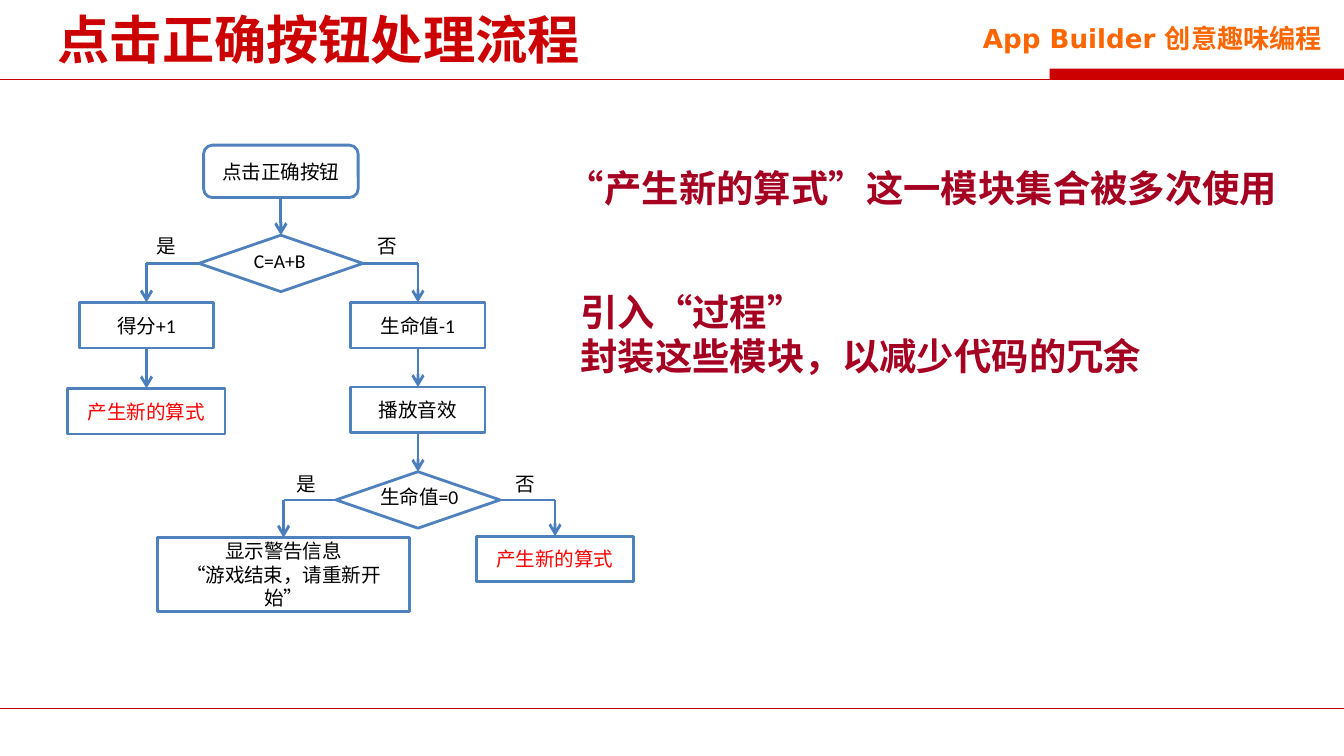
from lxml.etree import SubElement
from pptx import Presentation
from pptx.dml.color import RGBColor
from pptx.enum.shapes import MSO_CONNECTOR, MSO_SHAPE
from pptx.enum.text import MSO_ANCHOR, PP_ALIGN
from pptx.oxml.ns import qn
from pptx.util import Inches, Pt

RED = RGBColor(0xCC, 0x00, 0x00)
ORANGE = RGBColor(0xFF, 0x66, 0x00)
CRIMSON = RGBColor(0xA5, 0x00, 0x21)
BRIGHT_RED = RGBColor(0xFF, 0x00, 0x00)
OUTLINE_BLUE = RGBColor(0x4F, 0x81, 0xBD)
ARROW_BLUE = RGBColor(0x4B, 0x7E, 0xBC)
BLACK = RGBColor(0x00, 0x00, 0x00)
WHITE = RGBColor(0xFF, 0xFF, 0xFF)

CJK_FONT = "Noto Sans CJK SC"
FLOW_FONT = "Calibri"
HEADER_FONT = "DejaVu Sans"

TOP, LEFT, BOTTOM, RIGHT = range(4)
SCORE_X, CHECK_X, LIFE_X, RETRY_X = 1.09, 2.09, 3.11, 4.13
WARNING_X = 2.11
STEP_SIZE = (1, 0.34)
FORMULA_SIZE = (1.17, 0.34)
DIAMOND_SIZE = (1.22, 0.42)


def write_lines(frame, lines, size, font_name, color, bold=False, align=PP_ALIGN.LEFT):
    for index, line in enumerate(lines):
        paragraph = frame.paragraphs[0] if index == 0 else frame.add_paragraph()
        paragraph.alignment = align
        run = paragraph.add_run()
        run.text = line
        font = run.font
        font.size, font.name, font.bold = Pt(size), font_name, bold
        font.color.rgb = color
        SubElement(run._r.get_or_add_rPr(), qn("a:ea"), typeface=CJK_FONT)


def add_text(slide, box, lines, size, font_name, color, **style):
    frame = slide.shapes.add_textbox(*map(Inches, box)).text_frame
    frame.word_wrap = True
    write_lines(frame, lines, size, font_name, color, **style)
    return frame


def add_flow_label(slide, box, text):
    add_text(slide, box, [text], 10.5, FLOW_FONT, BLACK, align=PP_ALIGN.JUSTIFY)


def add_node(slide, center_x, top, size, lines=(), color=BLACK, kind=MSO_SHAPE.RECTANGLE):
    """Add an outlined flowchart node centred on a column."""
    width, height = size
    node = slide.shapes.add_shape(
        kind, Inches(center_x - width / 2), Inches(top), Inches(width), Inches(height))
    node.shadow.inherit = False
    node.fill.solid()
    node.fill.fore_color.rgb = WHITE
    node.line.color.rgb = OUTLINE_BLUE
    node.line.width = Pt(1.5)
    node.text_frame.vertical_anchor = MSO_ANCHOR.MIDDLE
    write_lines(node.text_frame, lines, 10.5, FLOW_FONT, color, align=PP_ALIGN.CENTER)
    return node


def add_line(slide, start, end, color=ARROW_BLUE, width=1.5, arrow=False):
    line = slide.shapes.add_connector(MSO_CONNECTOR.STRAIGHT, *start, *end)
    line.line.color.rgb = color
    line.line.width = Pt(width)
    if arrow:
        SubElement(line.line._get_or_add_ln(), qn("a:tailEnd"), type="arrow")
    SubElement(line._element.spPr, qn("a:effectLst"))
    return line


def top_middle(node):
    return node.left + node.width // 2, node.top


def add_down_arrow(slide, upper, lower):
    x, y = top_middle(lower)
    arrow = add_line(slide, (x, upper.top + upper.height), (x, y), arrow=True)
    arrow.begin_connect(upper, BOTTOM)
    arrow.end_connect(lower, TOP)


def add_branch(slide, decision, side, target):
    """Run sideways from a decision, then down into the target."""
    x, target_y = top_middle(target)
    corner = (x, decision.top + decision.height // 2)
    edge_x = decision.left + (decision.width if side == RIGHT else 0)
    add_line(slide, (edge_x, corner[1]), corner).begin_connect(decision, side)
    add_line(slide, corner, (x, target_y), arrow=True).end_connect(target, TOP)


def add_header_and_footer(slide):
    for y in (0.59, 5.27):
        add_line(slide, (0, Inches(y)), (Inches(10), Inches(y)), RED, 0.75)
    accent = slide.shapes.add_shape(
        MSO_SHAPE.RECTANGLE, *map(Inches, (7.81, 0.51, 2.19, 0.08)))
    accent.shadow.inherit = False
    accent.fill.solid()
    accent.fill.fore_color.rgb = RED
    accent.line.fill.background()
    course = add_text(slide, (7.12, 0.07, 2.91, 0.38), ["App Builder 创意趣味编程"], 14,
                      HEADER_FONT, ORANGE, bold=True, align=PP_ALIGN.CENTER)
    course.paragraphs[0].line_spacing = 1.2


def add_title(slide, text):
    title = slide.shapes.title
    title.left, title.top, title.width, title.height = map(Inches, (0.33, 0.05, 9, 0.48))
    title.text_frame.vertical_anchor = MSO_ANCHOR.MIDDLE
    write_lines(title.text_frame, [text], 28, CJK_FONT, RED, bold=True)


def add_flowchart(slide):
    new_formula = ["产生新的算式"]
    start = add_node(slide, CHECK_X, 1.08, (1.15, 0.39), ["点击正确按钮"],
                     kind=MSO_SHAPE.ROUNDED_RECTANGLE)
    answer_check = add_node(slide, CHECK_X, 1.75, DIAMOND_SIZE, kind=MSO_SHAPE.DIAMOND)
    score = add_node(slide, SCORE_X, 2.25, STEP_SIZE, ["得分+1"])
    next_formula = add_node(slide, SCORE_X, 2.89, FORMULA_SIZE, new_formula, BRIGHT_RED)
    lose_life = add_node(slide, LIFE_X, 2.25, STEP_SIZE, ["生命值-1"])
    sound = add_node(slide, LIFE_X, 2.88, STEP_SIZE, ["播放音效"])
    life_check = add_node(slide, LIFE_X, 3.51, DIAMOND_SIZE, kind=MSO_SHAPE.DIAMOND)
    warning = add_node(slide, WARNING_X, 4, (1.88, 0.55),
                       ["显示警告信息", "“游戏结束，请重新开始”"])
    retry_formula = add_node(slide, RETRY_X, 3.99, FORMULA_SIZE, new_formula, BRIGHT_RED)

    for upper, lower in ((start, answer_check), (score, next_formula),
                         (lose_life, sound), (sound, life_check)):
        add_down_arrow(slide, upper, lower)
    for decision, yes_target, no_target in ((answer_check, score, lose_life),
                                            (life_check, warning, retry_formula)):
        add_branch(slide, decision, LEFT, yes_target)
        add_branch(slide, decision, RIGHT, no_target)

    add_flow_label(slide, (1.79, 1.8, 0.61, 0.29), "C=A+B")
    add_flow_label(slide, (2.73, 3.56, 0.85, 0.29), "生命值=0")
    for yes_x, no_x, y in ((1.07, 2.71, 1.69), (2.11, 3.74, 3.46)):
        add_flow_label(slide, (yes_x, y, 0.27, 0.28), "是")
        add_flow_label(slide, (no_x, y, 0.27, 0.28), "否")


def add_remarks(slide):
    for box, lines in (
        ((4.12, 1.18, 5.87, 0.44), ["“产生新的算式”这一模块集合被多次使用"]),
        ((4.22, 2.1, 4.98, 0.77), ["引入“过程”", "封装这些模块，以减少代码的冗余"]),
    ):
        add_text(slide, box, lines, 20, CJK_FONT, CRIMSON, bold=True)


def main():
    deck = Presentation()
    deck.slide_width = Inches(10)
    deck.slide_height = deck.slide_width * 9 // 16
    slide = deck.slides.add_slide(deck.slide_layouts[5])
    add_header_and_footer(slide)
    add_title(slide, "点击正确按钮处理流程")
    add_flowchart(slide)
    add_remarks(slide)
    deck.save("out.pptx")


if __name__ == "__main__":
    main()
